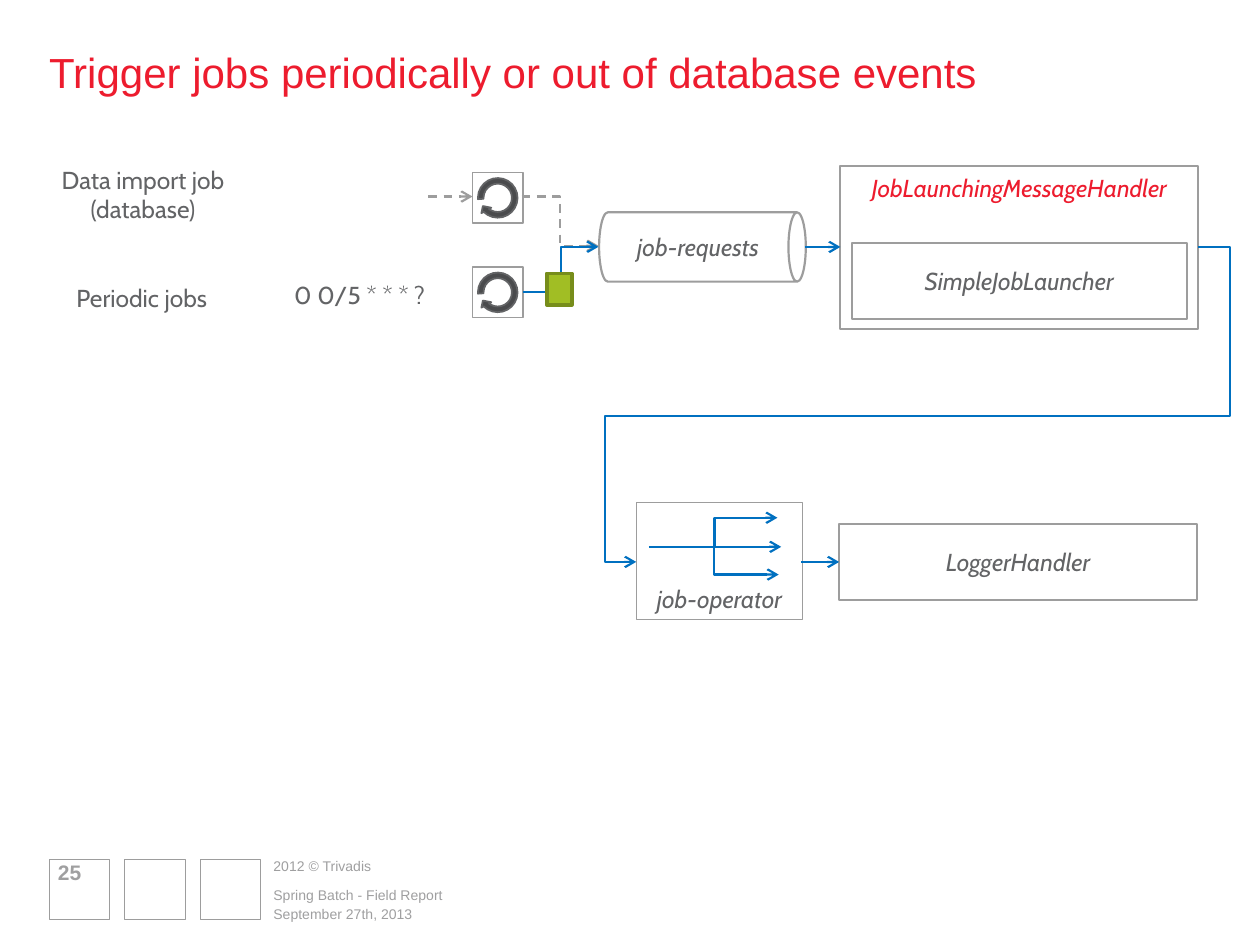
"""Build the slide on triggering batch jobs from timers and database events."""
from dataclasses import dataclass

import pptx
import pptx.dml.color
import pptx.enum.dml
import pptx.enum.shapes
import pptx.enum.text
import pptx.oxml
import pptx.oxml.ns
import pptx.util

Inches = pptx.util.Inches
Pt = pptx.util.Pt
Kind = pptx.enum.shapes.MSO_SHAPE
Link = pptx.enum.shapes.MSO_CONNECTOR
Align = pptx.enum.text.PP_ALIGN
Anchor = pptx.enum.text.MSO_ANCHOR
Dash = pptx.enum.dml.MSO_LINE

HUES = {
    "white": "FFFFFF", "edge": "9D9D9D", "text": "636466", "foot": "9F9FA0",
    "red": "ED1C2E", "blue": "0070C0", "dark": "4A4B4D",
    "green": "A1BE24", "olive": "778D1B",
}
BODY = {"name": "Cabin", "size": Pt(14)}
NODE = {**BODY, "italic": True}
HEAD = {"name": "Arial", "size": Pt(24)}
FOOT = {"name": "Arial", "size": Pt(8)}
PAGE = {"name": "Arial", "size": Pt(12), "bold": True}
BARE = {f"margin_{side}": 0 for side in ("left", "top", "right", "bottom")}


@dataclass
class Label:
    text: str
    area: tuple
    font: dict
    hue: str = "foot"
    align: Align = Align.LEFT
    anchor: Anchor = Anchor.MIDDLE


@dataclass
class Box:
    area: tuple
    text: str = ""
    hue: str = "text"
    anchor: Anchor = Anchor.MIDDLE
    kind: Kind = Kind.RECTANGLE
    fill: str = "white"
    edge: str = "edge"
    width: float = 1.25
    turn: float = 0
    adjust: tuple = ()


@dataclass
class Wire:
    start: tuple
    end: tuple
    bends: tuple = ()
    hue: str = "blue"
    dash: bool = False


LABELS = [
    Label("2012 © Trivadis", (2.17, 6.8, 1.35, 0.15), FOOT),
    Label("Trigger jobs periodically or out of database events",
          (0.39, 0.37, 9.22, 0.4), HEAD, "red", anchor=Anchor.TOP),
    Label("September 27th, 2013", (2.17, 7.14, 5.36, 0.18), FOOT, anchor=Anchor.BOTTOM),
    Label("Spring Batch - Field Report", (2.17, 6.99, 5.36, 0.18), FOOT, anchor=Anchor.BOTTOM),
    Label("25", (0.46, 6.84, 0.48, 0.17), PAGE),
] + [
    Label(text, area, BODY, "text", Align.CENTER, Anchor.TOP)
    for text, area in (
        ("Data import job\n(database)", (0.14, 1.31, 1.99, 0.47)),
        ("Periodic jobs", (0.13, 2.25, 1.99, 0.24)),
        ("0 0/5 * * * ?", (2.22, 2.22, 1.27, 0.24)),
    )
]
BOXES = [
    Box((6.67, 1.32, 2.84, 1.29), "JobLaunchingMessageHandler", "red", Anchor.TOP),
    Box((6.76, 1.93, 2.66, 0.6), "SimpleJobLauncher"),
    Box((6.66, 4.16, 2.84, 0.6), "LoggerHandler"),
    Box((5.05, 3.99, 1.32, 0.93), "job-operator", anchor=Anchor.BOTTOM, width=0.75),
    Box((5.3, 1.14, 0.55, 1.64), "job-requests", kind=Kind.CAN, turn=90),
]
WIRES = [
    Wire((3.4, 1.56), (3.75, 1.56), hue="edge", dash=True),
    Wire((4.14, 1.56), (4.75, 1.95), (0.5,), "edge", True),
    Wire((4.15, 2.32), (4.75, 1.96), (0.5,)),
    Wire((9.51, 1.96), (5.05, 4.46), (-0.056, 0.536, 1.056)),
    Wire((5.16, 4.34), (6.2, 4.34)),
    Wire((5.15, 4.34), (6.17, 4.11), (0.51,)),
    Wire((5.16, 4.34), (6.18, 4.56), (0.5,)),
    Wire((6.36, 4.46), (6.66, 4.46)),
    Wire((6.39, 1.96), (6.67, 1.96)),
]


def color(name: str) -> pptx.dml.color.RGBColor:
    return pptx.dml.color.RGBColor.from_string(HUES[name])


def apply(target, values: dict) -> None:
    for name, value in values.items():
        setattr(target, name, value)


def add(parent, tag: str, **values: str):
    node = pptx.oxml.parse_xml(f"<a:{tag} {pptx.oxml.ns.nsdecls('a')}/>")
    for name, value in values.items():
        node.set(name, value)
    parent.append(node)
    return node


def write(frame, text: str, font: dict, hue: str, align: Align) -> None:
    line = frame.paragraphs[0]
    line.text = text
    line.alignment = align
    for run in line.runs:
        apply(run.font, font)
        run.font.color.rgb = color(hue)


def put_label(slide, label: Label) -> None:
    frame = slide.shapes.add_textbox(*map(Inches, label.area)).text_frame
    apply(frame, {**BARE, "word_wrap": True, "vertical_anchor": label.anchor})
    write(frame, label.text, label.font, label.hue, label.align)


def put_box(slide, box: Box) -> None:
    shape = slide.shapes.add_shape(box.kind, *map(Inches, box.area))
    shape.shadow.inherit = False
    shape.rotation = box.turn
    for index, value in enumerate(box.adjust):
        shape.adjustments[index] = value
    shape.fill.solid()
    shape.fill.fore_color.rgb = color(box.fill)
    shape.line.color.rgb = color(box.edge)
    shape.line.width = Pt(box.width)
    if box.text:
        frame = shape.text_frame
        apply(frame, {"word_wrap": True, "vertical_anchor": box.anchor})
        write(frame, box.text, NODE, box.hue, Align.CENTER)
        if box.kind == Kind.CAN:
            frame._txBody.bodyPr.set("vert", "vert270")


def put_wire(slide, wire: Wire) -> None:
    kind = Link.ELBOW if wire.bends else Link.STRAIGHT
    link = slide.shapes.add_connector(kind, *map(Inches, wire.start + wire.end))
    link.line.color.rgb = color(wire.hue)
    link.line.width = Pt(1.25)
    if wire.dash:
        link.line.dash_style = Dash.DASH
    props = link._element.spPr
    add(link.line._get_or_add_ln(), "tailEnd", type="arrow")
    add(props, "effectLst")
    if wire.bends:
        shape = props.find(pptx.oxml.ns.qn("a:prstGeom"))
        shape.set("prst", f"bentConnector{len(wire.bends) + 2}")
        guides = shape.find(pptx.oxml.ns.qn("a:avLst"))
        for index, bend in enumerate(wire.bends, 1):
            add(guides, "gd", name=f"adj{index}", fmla=f"val {round(bend * 100000)}")


def put_timer(slide, top: float) -> None:
    put_box(slide, Box((3.75, top, 0.4, 0.4), width=1))
    put_box(slide, Box((3.77, top + 0.02, 0.36, 0.36), kind=Kind.CIRCULAR_ARROW,
                       fill="dark", edge="text", width=1, turn=151.1,
                       adjust=(0.125, 11.42, 204.58, 15.07, 0.125)))


def main() -> None:
    deck = pptx.Presentation()
    apply(deck, {"slide_width": Inches(10), "slide_height": Inches(7.5)})
    slide = deck.slides.add_slide(deck.slide_layouts[6])
    for index in range(3):
        put_box(slide, Box((0.39 + index * 0.6, 6.82, 0.48, 0.48), width=0.75))
    for label in LABELS:
        put_label(slide, label)
    for top in (1.37, 2.12):
        put_timer(slide, top)
    for box in BOXES:
        put_box(slide, box)
    for wire in WIRES:
        put_wire(slide, wire)
    put_box(slide, Box((4.34, 2.17, 0.2, 0.25), fill="green", edge="olive", width=2))
    deck.save("out.pptx")


if __name__ == "__main__":
    main()
